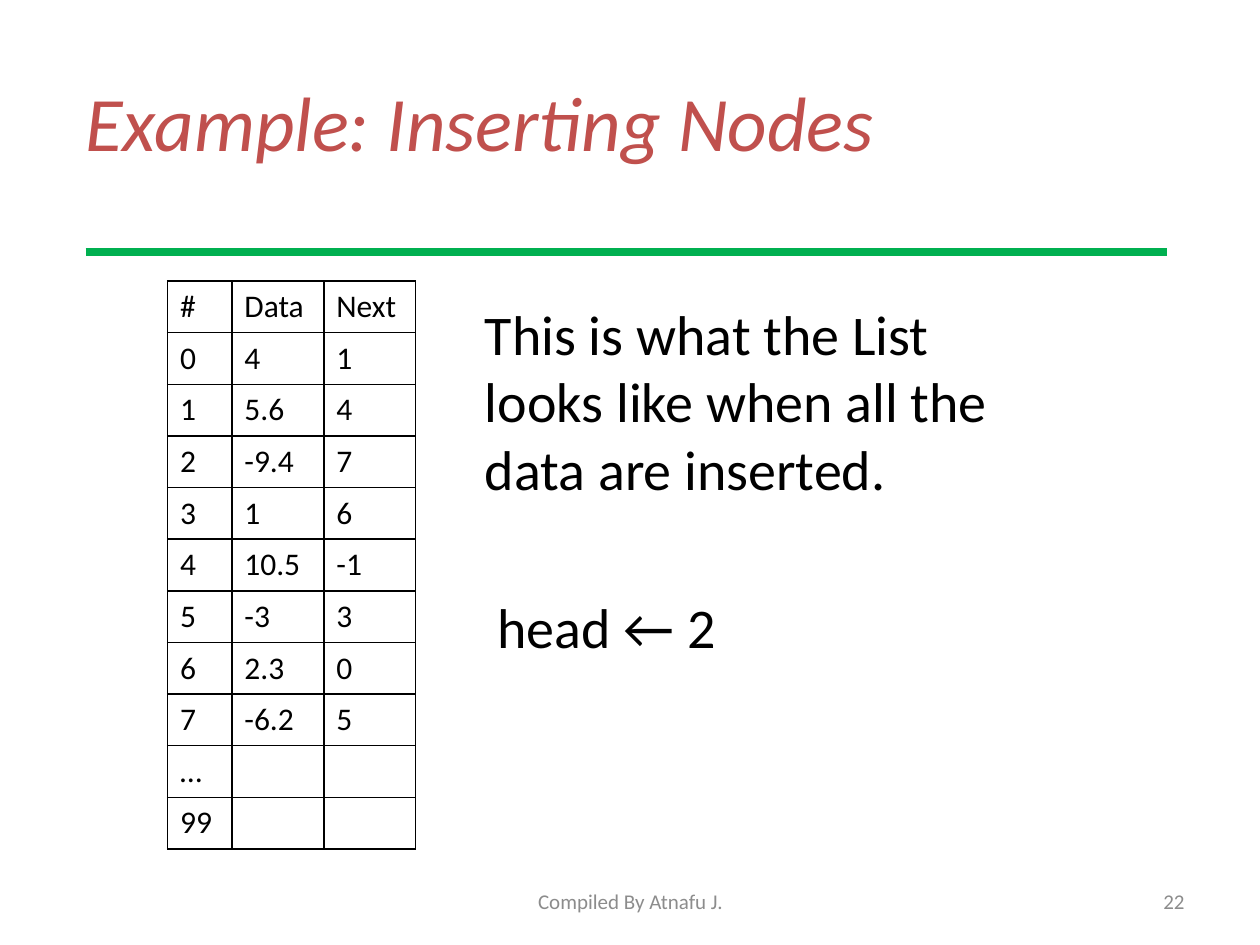
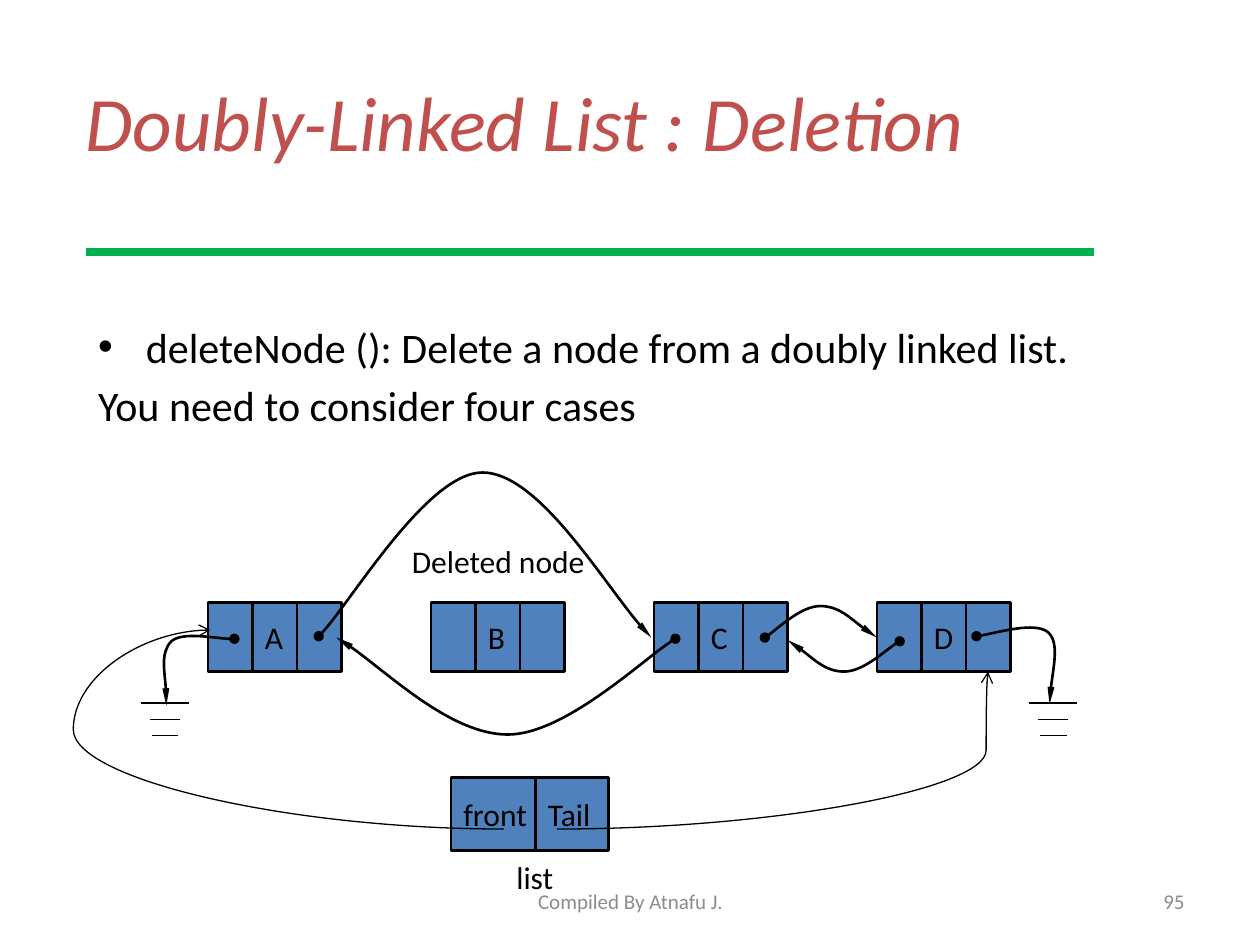
from dataclasses import dataclass

from lxml.etree import SubElement
from pptx import Presentation
from pptx.dml.color import RGBColor
from pptx.enum.shapes import MSO_CONNECTOR as Connector, MSO_SHAPE as Preset
from pptx.enum.text import MSO_ANCHOR as Anchor, PP_ALIGN as Align
from pptx.oxml.ns import qn
from pptx.util import Emu, Inches, Pt


@dataclass(frozen=True)
class Theme:
    font: str = "Calibri"
    title: str = "C0504D"
    rule: str = "00B050"
    ink: str = "000000"
    muted: str = "8C8C8C"
    node: str = "4F81BD"
    title_size: int = 44
    lead_size: int = 32
    body_size: int = 24
    label_size: int = 18
    footer_size: int = 12


THEME = Theme()
MARGIN = 0.68
NODE_LEFT, NODE_TOP, NODE_HEIGHT = 1.65, 4.78, 0.55
NODE_PITCH = 1.77
FIELD = NODE_PITCH / 5

LIST_ROWS = [
    ("#", "Data", "Next"),
    ("0", "4", "1"),
    ("1", "5.6", "4"),
    ("2", "-9.4", "7"),
    ("3", "1", "6"),
    ("4", "10.5", "-1"),
    ("5", "-3", "3"),
    ("6", "2.3", "0"),
    ("7", "-6.2", "5"),
    ("…", "", ""),
    ("99", "", ""),
]

# Start point, then two Bézier segments of three points each.
LINKS = {
    "A to C": [(2.53, 5.05), (2.75, 4.84), (3.39, 3.75), (3.83, 3.75),
               (4.27, 3.75), (4.89, 4.79), (5.17, 5.06)],
    "C to D": [(6.07, 5.06), (6.14, 5.02), (6.36, 4.81), (6.51, 4.81),
               (6.66, 4.81), (6.87, 5.01), (6.96, 5.06)],
    "C to A": [(5.36, 5.07), (5.15, 5.19), (4.48, 5.83), (4.03, 5.83),
               (3.58, 5.83), (2.95, 5.22), (2.67, 5.06)],
    "D to C": [(7.14, 5.09), (7.06, 5.13), (6.85, 5.33), (6.7, 5.33),
               (6.55, 5.33), (6.34, 5.13), (6.25, 5.08)],
    "D to ground": [(7.75, 5.05), (7.85, 5.04), (8.22, 4.93), (8.32, 5.02),
                    (8.41, 5.1), (8.33, 5.47), (8.33, 5.59)],
    "A to ground": [(1.86, 5.07), (1.77, 5.08), (1.45, 5.01), (1.36, 5.09),
                    (1.27, 5.18), (1.33, 5.5), (1.32, 5.6)],
}


def color(value):
    return RGBColor.from_string(value)


def add_run(paragraph, text, size, ink=THEME.ink, italic=False):
    run = paragraph.add_run()
    run.text = text
    font = run.font
    font.name, font.size, font.italic = THEME.font, Pt(size), italic
    font.color.rgb = color(ink)


def add_text(slide, box, lines, size, ink=THEME.ink, align=Align.LEFT,
             anchor=Anchor.TOP, italic=False, wrap=True):
    """Add one paragraph per line and return the paragraphs."""
    frame = slide.shapes.add_textbox(*map(Inches, box)).text_frame
    frame.word_wrap, frame.vertical_anchor = wrap, anchor
    for index, line in enumerate(lines):
        paragraph = frame.add_paragraph() if index else frame.paragraphs[0]
        paragraph.alignment = align
        paragraph.space_before = Pt(size * 0.2 if index else 0)
        add_run(paragraph, line, size, ink, italic)
    return frame.paragraphs


def set_line(shape, ink, width):
    shape.line.color.rgb = color(ink)
    shape.line.width = Pt(width)


def set_end(shape, end, kind, width="med", length="med"):
    SubElement(shape.line._get_or_add_ln(), qn(f"a:{end}End"),
               type=kind, w=width, len=length)


def add_line(slide, start, end, ink=THEME.ink, width=0.75,
             kind=Connector.STRAIGHT):
    line = slide.shapes.add_connector(kind, *map(Inches, (*start, *end)))
    set_line(line, ink, width)
    SubElement(line._element.spPr, qn("a:effectLst"))
    return line


def add_pointer(slide, start, end, bend):
    """Draw a curved arrow that turns at the share `bend` of its width."""
    pointer = add_line(slide, start, end, kind=Connector.CURVE)
    set_end(pointer, "tail", "arrow")
    guides = pointer._element.spPr.find(qn("a:prstGeom")).find(qn("a:avLst"))
    SubElement(guides, qn("a:gd"), name="adj1",
               fmla=f"val {round(bend * 100000)}")


def add_link(slide, points):
    """Draw a smooth arrow from a Bézier start and its control points."""
    start, *controls = [(Inches(x), Inches(y)) for x, y in points]
    builder = slide.shapes.build_freeform(*start)
    builder.add_line_segments(controls, close=False)
    link = builder.convert_to_shape()
    link.shadow.inherit = False
    link.fill.background()
    set_line(link, THEME.ink, 1.5)
    set_end(link, "head", "oval")
    set_end(link, "tail", "triangle", "sm", "lg")
    outline = next(link._element.iter(qn("a:path")))
    segments = outline.findall(qn("a:lnTo"))
    for index, segment in enumerate(segments):
        if index % 3 == 0:
            curve = SubElement(outline, qn("a:cubicBezTo"))
        curve.append(segment[0])
        outline.remove(segment)


def add_field(slide, box, label=""):
    field = slide.shapes.add_shape(Preset.RECTANGLE, *map(Inches, box))
    field.shadow.inherit = False
    field.fill.solid()
    field.fill.fore_color.rgb = color(THEME.node)
    set_line(field, THEME.ink, 1.5)
    if label:
        frame = field.text_frame
        frame.word_wrap, frame.vertical_anchor = False, Anchor.MIDDLE
        frame.paragraphs[0].alignment = Align.LEFT
        add_run(frame.paragraphs[0], label, THEME.label_size)


def add_node(slide, column, name):
    left = NODE_LEFT + column * NODE_PITCH
    for index, label in enumerate(("", name, "")):
        add_field(slide, (left + index * FIELD, NODE_TOP, FIELD, NODE_HEIGHT),
                  label)


def add_ground(slide, center):
    for row, width in enumerate((0.38, 0.24, 0.21)):
        y = 5.58 + row * 0.13
        add_line(slide, (center - width / 2, y), (center + width / 2, y))


def style_cell(cell):
    properties = cell._tc.get_or_add_tcPr()
    for side in ("lnL", "lnR", "lnT", "lnB"):
        border = SubElement(properties, qn(f"a:{side}"), w=str(Pt(1)))
        fill = SubElement(border, qn("a:solidFill"))
        SubElement(fill, qn("a:srgbClr"), val=THEME.ink)
    cell.fill.background()
    cell.vertical_anchor = Anchor.MIDDLE


def add_list_table(slide, left, top, widths, row_height):
    size = (sum(widths), row_height * len(LIST_ROWS))
    table = slide.shapes.add_table(len(LIST_ROWS), len(widths),
                                   *map(Inches, (left, top, *size))).table
    table.first_row = table.horz_banding = False
    for column, width in zip(table.columns, widths):
        column.width = Inches(width)
    for row, values in zip(table.rows, LIST_ROWS):
        row.height = Inches(row_height)
        for cell, value in zip(row.cells, values):
            style_cell(cell)
            paragraph = cell.text_frame.paragraphs[0]
            paragraph.font.size = Pt(THEME.label_size)
            if value:
                add_run(paragraph, value, THEME.label_size)


def add_bullet(paragraph, indent):
    properties = paragraph._p.get_or_add_pPr()
    properties.set("marL", str(Inches(indent)))
    properties.set("indent", str(-Inches(indent)))
    SubElement(properties, qn("a:buFont"), typeface="Arial")
    SubElement(properties, qn("a:buChar"), char="•")


def add_slide(presentation, title, number, rule_length):
    """Start a slide with its title, green rule, footer and number."""
    slide = presentation.slides.add_slide(presentation.slide_layouts[6])
    add_text(slide, (0.58, 0.33, 9, 1.25), [title], THEME.title_size,
             THEME.title, anchor=Anchor.MIDDLE, italic=True)
    add_line(slide, (MARGIN, 2), (MARGIN + rule_length, 2), THEME.rule, 4.25)
    for left, width, text, align in (
            (3.42, 3.17, "Compiled By Atnafu J.", Align.CENTER),
            (7.17, 2.33, str(number), Align.RIGHT)):
        add_text(slide, (left, 6.95, width, 0.4), [text], THEME.footer_size,
                 THEME.muted, align, Anchor.MIDDLE)
    return slide


def build_insertion(presentation):
    slide = add_slide(presentation, "Example: Inserting Nodes", 22, 8.58)
    add_list_table(slide, 1.33, 2.23, (0.51, 0.73, 0.73), 0.41)
    _, head = add_text(
        slide, (3.75, 2.33, 4.65, 4.2),
        ["This is what the List looks like when all the data are inserted.",
         " head ← 2"], THEME.lead_size)
    head.space_before = Pt(52)


def build_deletion(presentation):
    slide = add_slide(presentation, "Doubly-Linked List : Deletion", 95, 8)
    operation, _ = add_text(
        slide, (MARGIN, 2.5, 8.5, 4.5),
        ["deleteNode (): Delete a node from a doubly linked list.",
         "You need to consider four cases"], THEME.body_size)
    add_bullet(operation, 0.38)

    for column, name in enumerate("ABCD"):
        add_node(slide, column, name)
    for points in LINKS.values():
        add_link(slide, points)
    for center in (1.31, 8.36):
        add_ground(slide, center)

    add_field(slide, (4.25, 6.17, 0.58, 0.58), "Tail")
    add_field(slide, (3.58, 6.17, 0.67, 0.58), "front")
    add_text(slide, (3.17, 4.25, 1.58, 0.4), ["Deleted node"],
             THEME.label_size)
    add_text(slide, (4, 6.76, 0.5, 0.4), ["list"], THEME.label_size,
             wrap=False)
    add_pointer(slide, (4.42, 6.58), (7.84, 5.33), 0.996)
    add_pointer(slide, (4, 6.58), (1.67, 5), 1.467)


def main():
    presentation = Presentation()
    presentation.slide_width = Emu(Inches(10))
    presentation.slide_height = Emu(Inches(7.5))
    build_insertion(presentation)
    build_deletion(presentation)
    presentation.save("out.pptx")


if __name__ == "__main__":
    main()
